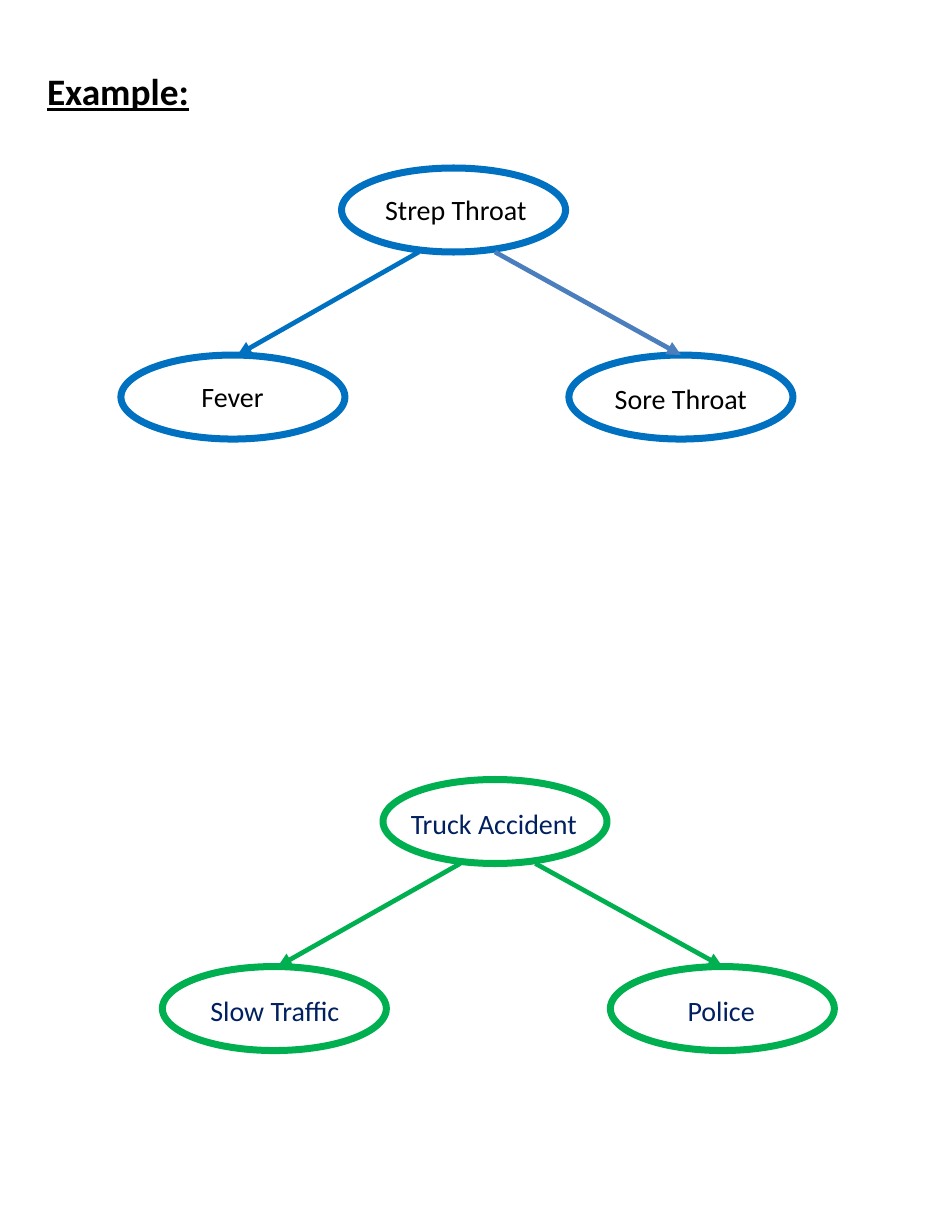
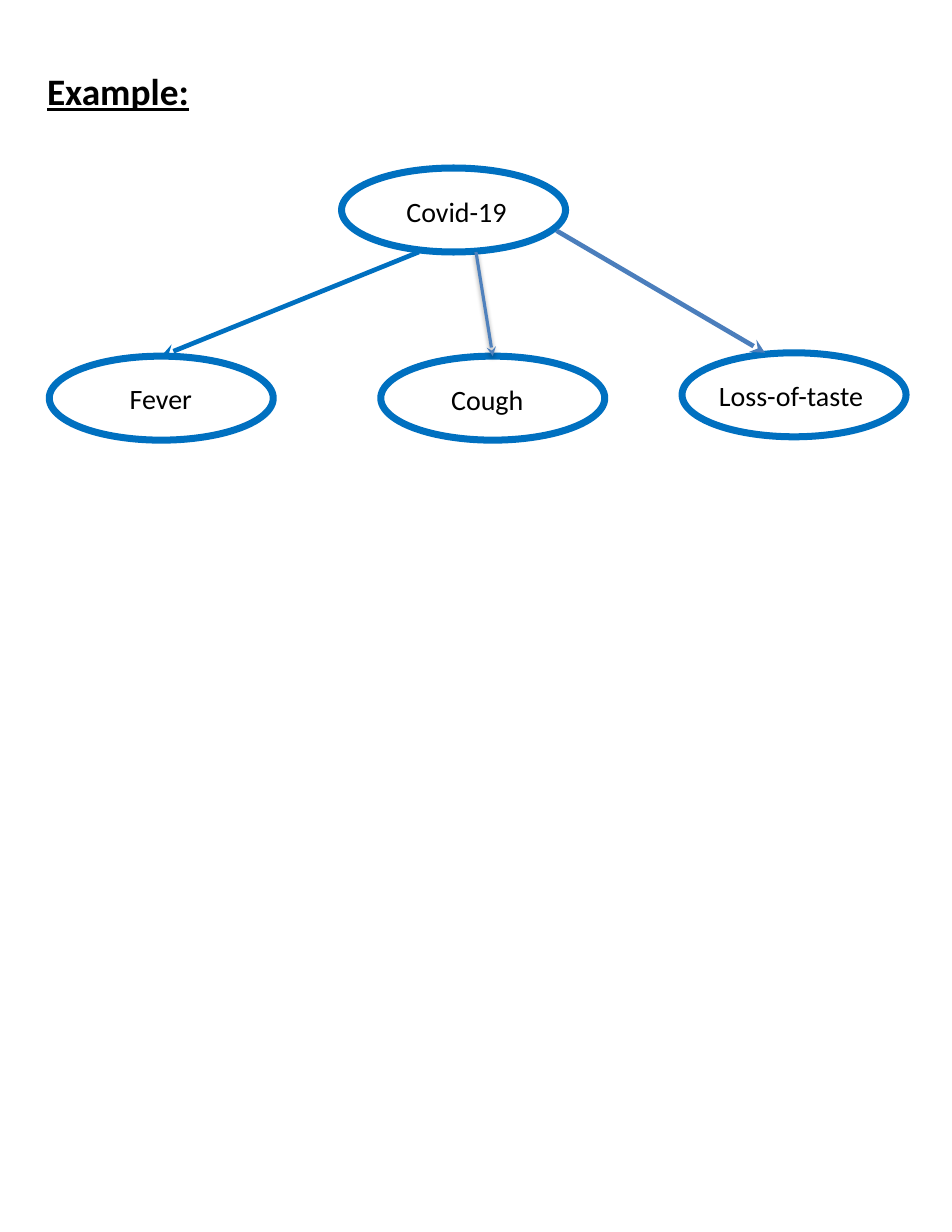
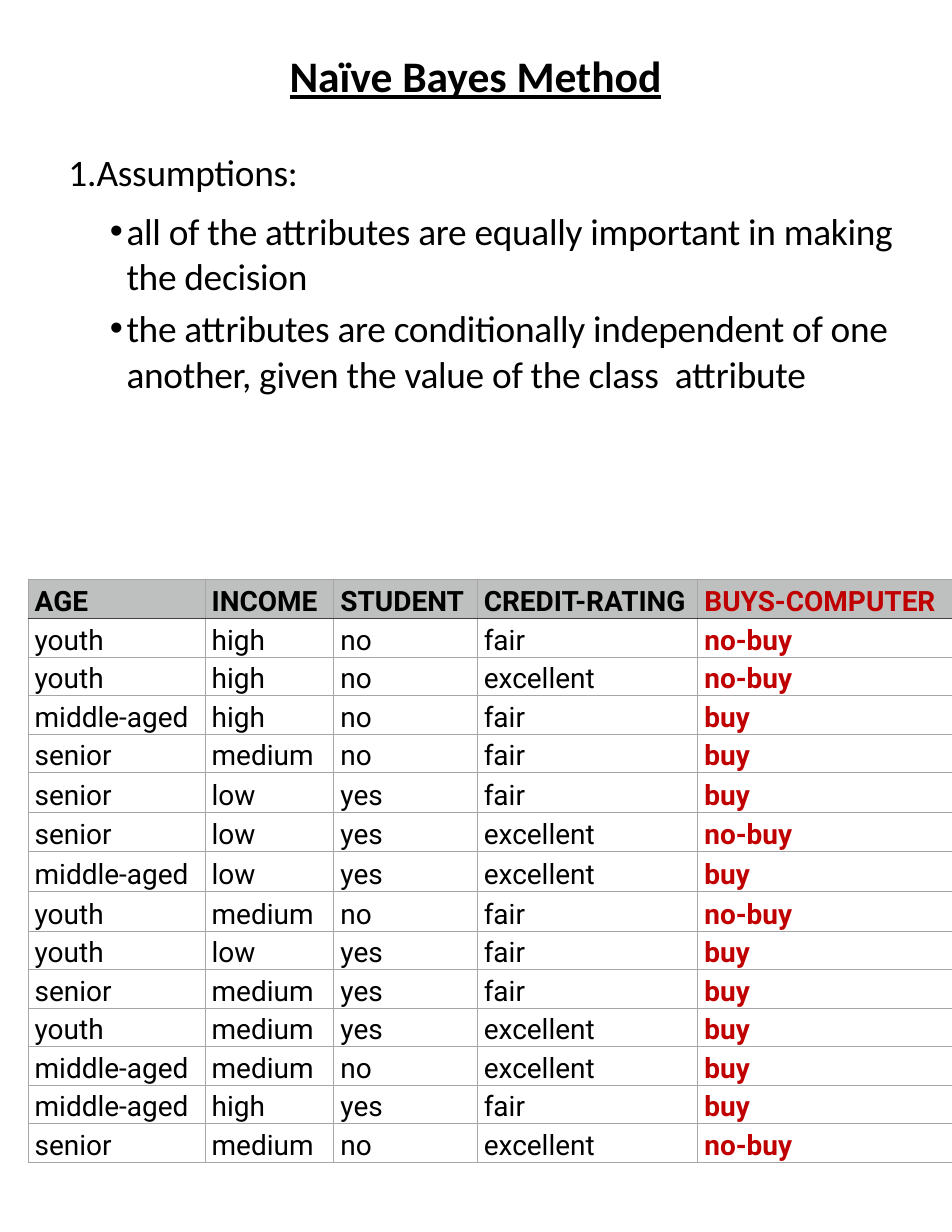
from lxml import etree
from pptx import Presentation
from pptx.dml.color import RGBColor
from pptx.enum.shapes import MSO_CONNECTOR, MSO_SHAPE
from pptx.enum.text import MSO_ANCHOR, MSO_AUTO_SIZE, PP_ALIGN
from pptx.oxml.ns import qn
from pptx.util import Inches, Pt

ELLIPSE = MSO_SHAPE.OVAL
STRAIGHT = MSO_CONNECTOR.STRAIGHT
LEFT, CENTER = PP_ALIGN.LEFT, PP_ALIGN.CENTER
TOP = MSO_ANCHOR.TOP
FIXED, GROW = MSO_AUTO_SIZE.NONE, MSO_AUTO_SIZE.SHAPE_TO_FIT_TEXT
CONTENT_LAYOUT, TITLE_LAYOUT = 1, 5

COLORS = {
    "black": "000000", "navy": "002060", "red": "C00000",
    "blue": "0070C0", "steel": "4B7EBC", "soft": "4F81BD", "green": "00B050",
    "header": "BEC0BF", "grid": "A6A6A6", "rule": "404040",
}
NODE_SIZE = (2, 0.75)
LABEL_HEIGHT = 0.4

# Nodes: label, ellipse (left, top), label (left, top, width)
# Arrows: start, end, colour, line width
DISEASE = {
    "outline": "blue", "text": "black", "head": "triangle",
    "nodes": [
        ("Strep Throat", (3.05, 1.5), (3.34, 1.67, 1.48)),
        ("Fever", (1.08, 3.17), (1.7, 3.34, 0.76)),
        ("Sore Throat", (5.08, 3.17), (5.39, 3.36, 1.39)),
    ],
    "arrows": [
        ((3.74, 2.25), (2.12, 3.17), "blue", 3),
        ((4.42, 2.25), (6.08, 3.17), "steel", 3),
    ],
}
ACCIDENT = {
    "outline": "green", "text": "navy", "head": "triangle",
    "nodes": [
        ("Truck Accident", (3.42, 6.96), (3.57, 7.15, 1.7)),
        ("Slow Traffic", (1.45, 8.63), (1.78, 8.82, 1.37)),
        ("Police", (5.45, 8.63), (6.04, 8.82, 0.81)),
    ],
    "arrows": [
        ((4.11, 7.71), (2.48, 8.63), "green", 3),
        ((4.78, 7.71), (6.45, 8.63), "green", 3),
    ],
}
COVID = {
    "outline": "blue", "text": "black", "head": "stealth",
    "nodes": [
        ("Covid-19", (3.05, 1.5), (3.53, 1.69, 1.11)),
        ("Fever", (0.44, 3.18), (1.06, 3.36, 0.76)),
        ("Cough", (3.4, 3.18), (3.93, 3.37, 0.86)),
        ("Loss-of-taste", (6.09, 3.15), (6.32, 3.33, 1.5)),
    ],
    "arrows": [
        ((3.74, 2.25), (1.44, 3.18), "blue", 3),
        ((4.97, 2.06), (6.83, 3.15), "steel", 3),
        ((4.25, 2.25), (4.4, 3.18), "soft", 2),
    ],
}
EXAMPLES = [[DISEASE, ACCIDENT], [COVID]]

# Text, level, left margin, hanging indent, space before, line spacing
ASSUMPTIONS = [
    ("Assumptions:", 0, 0.55, 0.19, 0, 1.0),
    ("all of the attributes are equally important in making the decision",
     1, 0.88, 0.15, 9.3, 1.0),
    ("the attributes are conditionally independent of one another, "
     "given the value of the class  attribute", 1, 0.88, 0.15, 4, 1.03),
]

COLUMN_WIDTHS = [1.58, 1.15, 1.28, 1.97, 2.27]
ROW_HEIGHT = 0.28
ROOMY_ROWS = (0, 5, 6, 7, 8)
CUSTOMERS = [
    ("AGE", "INCOME", "STUDENT", "CREDIT-RATING", "BUYS-COMPUTER"),
    ("youth", "high", "no", "fair", "no-buy"),
    ("youth", "high", "no", "excellent", "no-buy"),
    ("middle-aged", "high", "no", "fair", "buy"),
    ("senior", "medium", "no", "fair", "buy"),
    ("senior", "low", "yes", "fair", "buy"),
    ("senior", "low", "yes", "excellent", "no-buy"),
    ("middle-aged", "low", "yes", "excellent", "buy"),
    ("youth", "medium", "no", "fair", "no-buy"),
    ("youth", "low", "yes", "fair", "buy"),
    ("senior", "medium", "yes", "fair", "buy"),
    ("youth", "medium", "yes", "excellent", "buy"),
    ("middle-aged", "medium", "no", "excellent", "buy"),
    ("middle-aged", "high", "yes", "fair", "buy"),
    ("senior", "medium", "no", "excellent", "no-buy"),
]


def rgb(name):
    return RGBColor.from_string(COLORS[name])


def add_element(parent, tag, **attributes):
    return etree.SubElement(parent, qn(tag), attributes)


def set_values(target, **values):
    for name, value in values.items():
        setattr(target, name, value)


def write(para, text, size, color="black", name="Calibri", **values):
    span = para.add_run()
    span.text = text
    set_values(span.font, size=Pt(size), name=name, **values)
    span.font.color.rgb = rgb(color)
    return span


def place(box, left, top, width, height):
    set_values(box, left=Inches(left), top=Inches(top),
               width=Inches(width), height=Inches(height))
    set_values(box.text_frame, margin_left=0, margin_top=0, margin_right=0,
               margin_bottom=0, vertical_anchor=TOP, word_wrap=True,
               auto_size=FIXED)


def add_title(slide, text, size, top, height, alignment):
    place(slide.shapes.title, 0.42, top, 7.65, height)
    para = slide.shapes.title.text_frame.paragraphs[0]
    para.alignment = alignment
    write(para, text, size, bold=True, underline=True)


def add_node(slide, label, corner, label_place, outline, color):
    ellipse = slide.shapes.add_shape(
        ELLIPSE, *map(Inches, corner), *map(Inches, NODE_SIZE))
    ellipse.shadow.inherit = False
    ellipse.fill.background()
    ellipse.line.color.rgb = rgb(outline)
    ellipse.line.width = Pt(4.5)
    box = slide.shapes.add_textbox(
        *map(Inches, label_place), Inches(LABEL_HEIGHT))
    set_values(box.text_frame, word_wrap=False, auto_size=GROW)
    write(box.text_frame.paragraphs[0], label, 18, color)


def add_arrow(slide, start, end, color, width, head):
    arrow = slide.shapes.add_connector(
        STRAIGHT, *map(Inches, start), *map(Inches, end))
    arrow.line.color.rgb = rgb(color)
    arrow.line.width = Pt(width)
    add_element(arrow.line._get_or_add_ln(), "a:tailEnd", type=head)
    effects = add_element(arrow._element.spPr, "a:effectLst")
    if color == "soft":
        shadow = add_element(effects, "a:outerShdw", blurRad="40000",
                             dist="20000", dir="5400000", rotWithShape="0")
        shade = add_element(shadow, "a:srgbClr", val=COLORS["black"])
        add_element(shade, "a:alpha", val="38000")


def add_diagram(slide, diagram):
    for label, corner, label_place in diagram["nodes"]:
        add_node(slide, label, corner, label_place,
                 diagram["outline"], diagram["text"])
    for arrow in diagram["arrows"]:
        add_arrow(slide, *arrow, diagram["head"])


def add_assumptions(slide):
    body = slide.placeholders[1]
    place(body, 0.25, 1.33, 8, 2.53)
    frame = body.text_frame
    for index, (text, level, margin, hang, before, spacing) in enumerate(ASSUMPTIONS):
        para = frame.add_paragraph() if index else frame.paragraphs[0]
        properties = para._p.get_or_add_pPr()
        properties.set("marL", str(Inches(margin)))
        properties.set("indent", str(-Inches(hang)))
        if level:
            add_element(properties, "a:buChar", char="•")
        else:
            add_element(properties, "a:buAutoNum", type="arabicPeriod")
        set_values(para, level=level, space_before=Pt(before),
                   line_spacing=spacing)
        span = write(para, text, 24)
        span._r.get_or_add_rPr().set("spc", "-20")


def set_borders(cell, row):
    """Thin grid, with a darker rule under the header row."""
    ruled = {0: "a:lnB", 1: "a:lnT"}.get(row)
    for tag in ("a:lnL", "a:lnR", "a:lnT", "a:lnB"):
        color, width = ("rule", 0.75) if tag == ruled else ("grid", 0.5)
        line = add_element(cell._tc.get_or_add_tcPr(), tag, w=str(Pt(width)))
        fill = add_element(line, "a:solidFill")
        add_element(fill, "a:srgbClr", val=COLORS[color])


def add_customers(slide):
    count = len(CUSTOMERS)
    frame = slide.shapes.add_table(
        count, len(COLUMN_WIDTHS), Inches(0.25), Inches(5.17),
        Inches(sum(COLUMN_WIDTHS)), Inches(ROW_HEIGHT * count))
    table = frame.table
    set_values(table, first_row=False, horz_banding=False)
    for column, width in zip(table.columns, COLUMN_WIDTHS):
        column.width = Inches(width)
    for row, values in enumerate(CUSTOMERS):
        inset = 0.06 if row in ROOMY_ROWS else 0.05
        for column, value in enumerate(values):
            cell = table.cell(row, column)
            set_values(cell, margin_left=Inches(0.06), margin_right=0,
                       margin_top=Inches(inset), margin_bottom=0)
            set_borders(cell, row)
            if row == 0:
                cell.fill.solid()
                cell.fill.fore_color.rgb = rgb("header")
            else:
                cell.fill.background()
            decision = column == len(values) - 1
            write(cell.text_frame.paragraphs[0], value, 18,
                  "red" if decision else "black", "Roboto",
                  bold=row == 0 or decision)
    frame.height = Inches(5.6)


def main():
    deck = Presentation()
    set_values(deck, slide_width=Inches(8.5), slide_height=Inches(11))

    # Cause and effect diagrams
    for diagrams in EXAMPLES:
        slide = deck.slides.add_slide(deck.slide_layouts[TITLE_LAYOUT])
        add_title(slide, "Example:", 24, 0.61, 0.4, LEFT)
        for diagram in diagrams:
            add_diagram(slide, diagram)

    # Assumptions and training data
    slide = deck.slides.add_slide(deck.slide_layouts[CONTENT_LAYOUT])
    add_title(slide, "Naïve Bayes Method", 28, 0.44, 0.47, CENTER)
    add_assumptions(slide)
    add_customers(slide)

    deck.save("out.pptx")


if __name__ == "__main__":
    main()
